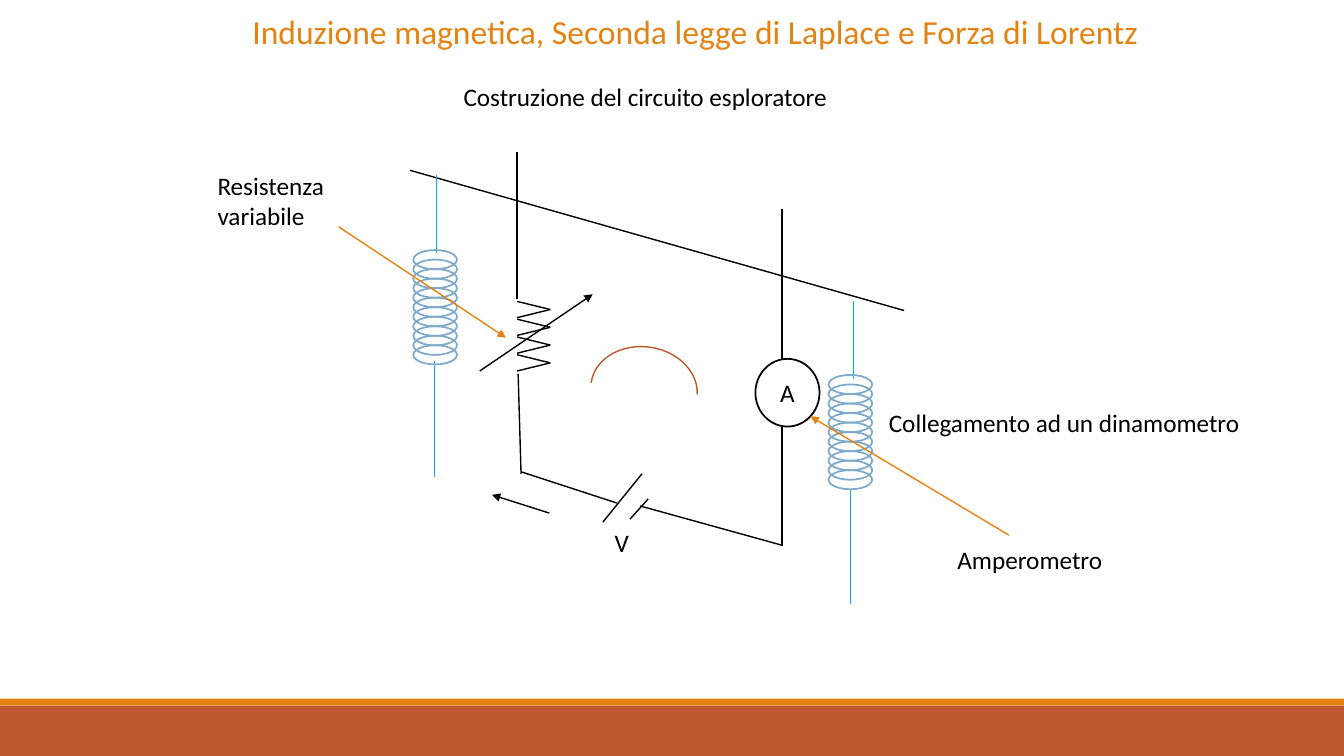
from lxml import etree
from pptx import Presentation
from pptx import util as u
from pptx.dml.color import RGBColor
from pptx.enum import shapes, text
from pptx.oxml.ns import qn

Pt = u.Pt
COLOURS = {"orange": "E48312", "rust": "BD582C", "black": "000000",
           "white": "FFFFFF", "cyan": "00B0F0", "steel": "7EA9CA"}
FONT = "Calibri"

# Content: lines of text, left, top, width, height, size, colour, centred, wrapped
LABELS = [
    (["Induzione magnetica, Seconda legge di Laplace e Forza di Lorentz"],
     16.6, 4.3, 960, 36, 24, "orange", True, True),
    (["Resistenza", "variabile"], 148.3, 118.1, 139, 51, 18, "black", False, True),
    (["Amperometro"], 676.8, 385.2, 178.6, 29, 18, "black", False, True),
    (["Collegamento ad un dinamometro"], 627.8, 287.3, 275, 29, 18, "black", False, True),
    (["V"], 432, 373, 37.4, 43, 18, "black", False, False),
    (["Costruzione del circuito esploratore"], 324, 54.7, 277.2, 29, 18, "black", False, False),
]

# Lines: start x, start y, end x, end y, colour
POINTERS = [
    (241.9, 162, 361.4, 241.2, "orange"),
    (720.7, 382.3, 578.9, 297.4, "orange"),
    (342.7, 265, 423.4, 210.2, "black"),
    (392.4, 366.5, 351.4, 353.5, "black"),
]
WIRES = [
    (293, 121.7, 645.8, 221.8, "black"),
    (558.7, 149, 558.7, 390.2, "black"),
    (369.4, 213.8, 369.4, 108.7, "black"),
    (372.2, 338.4, 370.1, 267.1, "black"),
    (372.2, 337, 440.6, 359.3, "black"),
    (457.2, 361.4, 558.7, 389.5, "black"),
]
BATTERY = [
    (430.6, 373, 458.6, 338.4, "black"),
    (450, 370.8, 463, 356.4, "black"),
]
HANGERS = [
    (311.8, 125.3, 311.8, 180.7, "cyan"),
    (310.3, 257.8, 310.3, 340.6, "cyan"),
    (609.8, 215.3, 609.8, 270.7, "cyan"),
    (607.7, 349.2, 607.7, 431.3, "cyan"),
]

# Springs and resistor: first corner, then repeated by a fixed step
SPRINGS = [(295.2, 178.6), (591.8, 267.8)]
COILS, COIL_STEP, COIL_W, COIL_H = 11, 6.8, 31.2, 13.7
TEETH, TOOTH_STEP, TOOTH_H = 4, 12.7, 11.6
TOOTH_LEFT, TOOTH_RIGHT, TOOTH_TOP = 369.4, 393.1, 215.3

deck = Presentation()
deck.slide_width, deck.slide_height = Pt(960), Pt(540)
page = deck.slides.add_slide(deck.slide_layouts[6])


def rgb(name):
    return RGBColor.from_string(COLOURS[name])


def add_figure(kind, left, top, width, height, fill=None, line=None, weight=1.25):
    figure = page.shapes.add_shape(kind, Pt(left), Pt(top), Pt(width), Pt(height))
    figure.shadow.inherit = False
    if fill:
        figure.fill.solid()
        figure.fill.fore_color.rgb = rgb(fill)
    else:
        figure.fill.background()
    if line:
        figure.line.color.rgb = rgb(line)
        figure.line.width = Pt(weight)
    else:
        figure.line.fill.background()
    return figure


def add_line(x1, y1, x2, y2, colour, arrow=False):
    line = page.shapes.add_connector(shapes.MSO_CONNECTOR.STRAIGHT,
                                     Pt(x1), Pt(y1), Pt(x2), Pt(y2))
    line.line.color.rgb = rgb(colour)
    line.line.width = Pt(1)
    if arrow:
        etree.SubElement(line.line._get_or_add_ln(), qn("a:tailEnd"), type="triangle")
    etree.SubElement(line._element.spPr, qn("a:effectLst"))


def write(frame, lines, size, colour, centred):
    for i, words in enumerate(lines):
        para = frame.paragraphs[0] if i == 0 else frame.add_paragraph()
        para.alignment = text.PP_ALIGN.CENTER if centred else text.PP_ALIGN.LEFT
        span = para.add_run()
        span.text = words
        span.font.name = FONT
        span.font.size = Pt(size)
        span.font.color.rgb = rgb(colour)


# Footer bands
add_figure(shapes.MSO_SHAPE.RECTANGLE, 0, 504, 960, 36, "rust")
add_figure(shapes.MSO_SHAPE.RECTANGLE, 0, 499, 960, 5, "orange")

# Circuit wires, battery plates and spring hangers
for wire in WIRES + BATTERY + HANGERS:
    add_line(*wire)

# Ammeter
ammeter = add_figure(shapes.MSO_SHAPE.OVAL, 539.6, 256.3, 45.8, 48.4, "white", "black")
frame = ammeter.text_frame
frame.margin_left = frame.margin_right = 0
frame.vertical_anchor = text.MSO_ANCHOR.MIDDLE
write(frame, ["A"], 18, "black", True)

# Variable resistor
middle = TOOTH_H / 2
for i in range(TEETH):
    top = TOOTH_TOP + i * TOOTH_STEP
    for start in (top, top + TOOTH_H):
        add_line(TOOTH_LEFT, start, TOOTH_RIGHT, top + middle, "black")

# Rotation arc
arc = add_figure(shapes.MSO_SHAPE.ARC, 429.1, 240.5, 61.9, 76.3, None, "rust", 1)
arc.adjustments[0], arc.adjustments[1] = 162, 52.075
arc.rotation = 278

# Springs
for left, top in SPRINGS:
    for i in range(COILS):
        add_figure(shapes.MSO_SHAPE.OVAL, left, top + i * COIL_STEP,
                   COIL_W, COIL_H, None, "steel")

# Arrows
for pointer in POINTERS:
    add_line(*pointer, arrow=True)

# Title and labels
for lines, left, top, width, height, size, colour, centred, wrapped in LABELS:
    box = page.shapes.add_textbox(Pt(left), Pt(top), Pt(width), Pt(height))
    box.text_frame.word_wrap = wrapped
    write(box.text_frame, lines, size, colour, centred)

deck.save("out.pptx")
